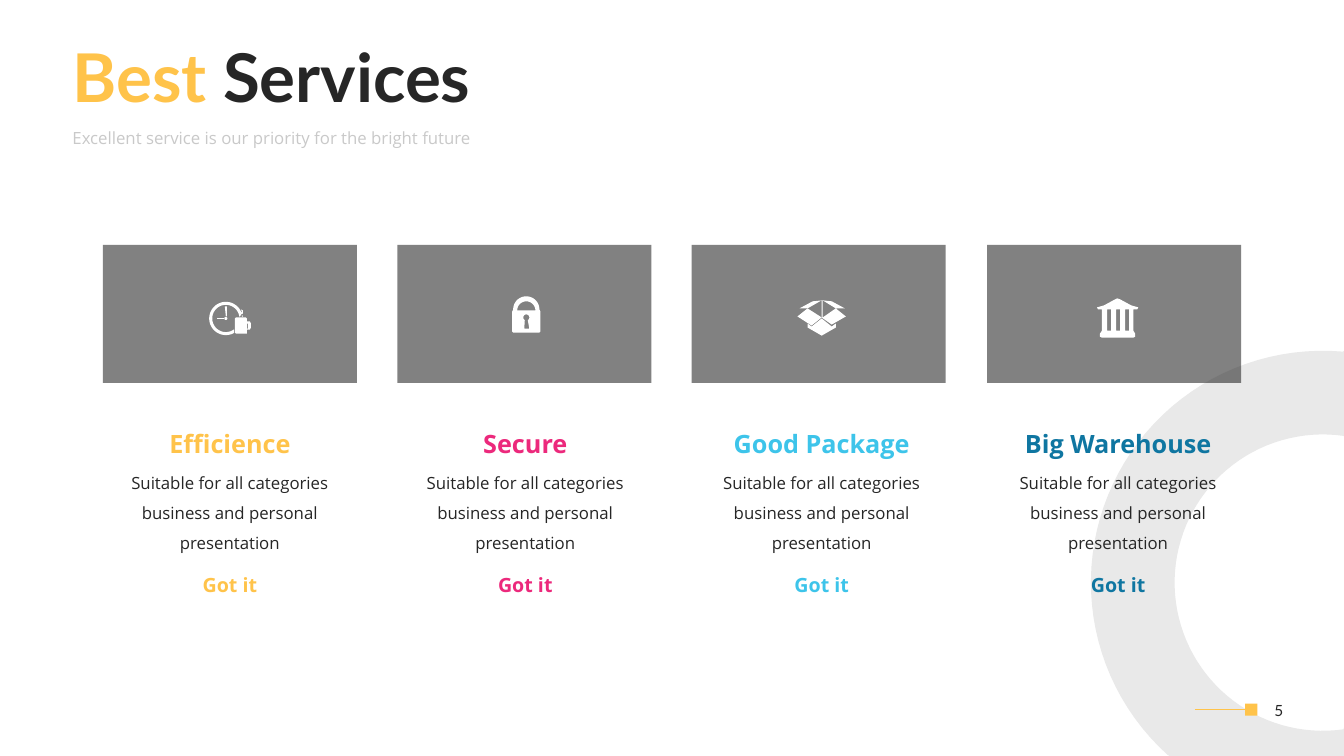
"""Build the "Best Services" slide: four service cards over a clipped ring."""
from dataclasses import dataclass
from math import cos, radians, sin

from lxml import etree
from pptx import Presentation
from pptx.dml.color import RGBColor
from pptx.enum.shapes import MSO_CONNECTOR, MSO_SHAPE
from pptx.enum.text import MSO_ANCHOR, MSO_AUTO_SIZE, PP_ALIGN
from pptx.oxml.ns import qn
from pptx.shapes.base import BaseShape
from pptx.slide import Slide
from pptx.util import Pt

PX = 9144
LINE, RECT = MSO_CONNECTOR.STRAIGHT, MSO_SHAPE.RECTANGLE
TOP, MIDDLE = MSO_ANCHOR.TOP, MSO_ANCHOR.MIDDLE
LEFT, CENTER = PP_ALIGN.LEFT, PP_ALIGN.CENTER
GROW = MSO_AUTO_SIZE.SHAPE_TO_FIT_TEXT

YELLOW = RGBColor(0xFF, 0xC3, 0x4A)
PINK = RGBColor(0xEC, 0x29, 0x7C)
CYAN = RGBColor(0x3D, 0xC4, 0xEA)
BLUE = RGBColor(0x0F, 0x76, 0xA1)
DARK = RGBColor(0x26, 0x26, 0x26)
SILVER = RGBColor(0xC9, 0xC9, 0xC9)
PALE = RGBColor(0xE9, 0xE9, 0xE9)
WHITE = RGBColor(0xFF, 0xFF, 0xFF)

Contour = list[tuple[float, float]]
Outline = list[Contour]


@dataclass(frozen=True)
class Style:
    """Typeface, size and paragraph settings of a text."""
    size: int
    font: str = "Open Sans"
    bold: bool = False
    align: PP_ALIGN = CENTER
    anchor: MSO_ANCHOR = TOP
    spacing: float = 1.0
    before: int = 0
    grow: bool = True


TITLE = Style(48, "Lato", True, LEFT, MIDDLE, 0.9, 10, False)
SUBTITLE = Style(12, align=LEFT, spacing=0.9, before=10, grow=False)
NUMBER = Style(11, "Lato", anchor=MIDDLE, grow=False)
HEADING = Style(18, bold=True)
BODY = Style(12, spacing=1.5)
ACTION = Style(14, bold=True)


@dataclass(frozen=True)
class Service:
    """One column: heading, accent colour, heading width and icon outlines."""
    name: str
    color: RGBColor
    width: int
    icon: list[Outline]


def arc(cx: int, cy: int, radius: float, start: int, end: int) -> Contour:
    """Return points along a circle, angles running clockwise from the right."""
    steps = max(12, abs(end - start) // 3)
    angles = [radians(start + (end - start) * i / steps) for i in range(steps + 1)]
    return [(cx + radius * cos(a), cy + radius * sin(a)) for a in angles]


def box(x: int, y: int, w: int, h: int) -> Contour:
    """Return the corners of a rectangle."""
    return [(x, y), (x + w, y), (x + w, y + h), (x, y + h)]


RING = [arc(1312, 578, 230, 132, 275) + [(1333, 348), (1333, 433)]
        + arc(1312, 578, 147, 278, 82) + [(1333, 722), (1333, 750), (1160, 750)]]

CLOCK = [
    [arc(224, 316, 1.5, 0, 360)],
    [box(215, 315, 7, 1)],
    [[(223, 304), (225, 304), (225, 314), (224, 314)]],
    [[(239, 307), (241, 308), (241, 311), (239, 312), (239, 314), (238, 312), (240, 309)]],
    [[(234, 315), (244, 315), (245, 316), (245, 319), (248, 319), (249, 321), (249, 325),
      (248, 327), (245, 327), (245, 331), (234, 331), (233, 330), (233, 316)],
     box(245, 321, 1, 5)],
    [[(240, 312), (241, 314), (240, 314)]],
    [arc(224, 316, 16.5, 60, 337) + arc(224, 316, 13.5, 355, 53)],
]

LOCK = [[
    [(508, 329), (508, 309)] + arc(522, 307, 13, 180, 360)
    + [(536, 309), (536, 329), (535, 330), (509, 330)],
    arc(522, 308, 9, 180, 360),
    arc(522, 315, 3, 120, 420) + [(525, 326), (520, 326)],
]]

PACKAGE = [
    [[(815, 315), (825, 322), (839, 314), (829, 306), (816, 315), (816, 298), (829, 306),
      (838, 306), (825, 299), (816, 298), (806, 299), (793, 306), (801, 306), (815, 298)]],
    [[(791, 314), (805, 323), (815, 315), (801, 306)]],
    [[(815, 316), (805, 324), (801, 321), (801, 325), (815, 333), (829, 325),
      (829, 321), (825, 324)]],
]

WAREHOUSE = [[
    [(1088, 305), (1095, 303), (1106, 297), (1108, 296), (1111, 297), (1122, 303),
     (1129, 305), (1128, 307), (1124, 307), (1124, 328), (1126, 331), (1126, 334),
     (1124, 335), (1093, 335), (1091, 334), (1091, 331), (1093, 328), (1093, 307),
     (1089, 307)],
    *[box(x, 307, 4, 21) for x in range(1098, 1117, 9)],
]]

SERVICES = [
    Service("Efficience", YELLOW, 178, CLOCK),
    Service("Secure", PINK, 178, LOCK),
    Service("Good Package", CYAN, 238, PACKAGE),
    Service("Big Warehouse", BLUE, 238, WAREHOUSE),
]


def paint(sp: BaseShape, color: RGBColor) -> None:
    """Give a shape a plain fill without line or shadow."""
    sp.shadow.inherit = False
    sp.fill.solid()
    sp.fill.fore_color.rgb = color
    sp.line.fill.background()


def add_rect(s: Slide, x: int, y: int, w: int, h: int, color: RGBColor) -> BaseShape:
    """Add a plain rectangle."""
    sp = s.shapes.add_shape(RECT, x * PX, y * PX, w * PX, h * PX)
    paint(sp, color)
    return sp


def add_outline(s: Slide, outline: Outline, color: RGBColor) -> None:
    """Add a filled freeform; later contours cut holes."""
    points = [[(x * PX, y * PX) for x, y in contour] for contour in outline]
    builder = s.shapes.build_freeform(*points[0][0])
    builder.add_line_segments(points[0][1:])
    for contour in points[1:]:
        builder.move_to(*contour[0])
        builder.add_line_segments(contour[1:])
    paint(builder.convert_to_shape(), color)


def add_text(s: Slide, x: int, y: int, w: int, h: int, style: Style,
             *runs: tuple[str, RGBColor]) -> None:
    """Add a one-paragraph text box made of coloured runs."""
    tf = s.shapes.add_textbox(x * PX, y * PX, w * PX, h * PX).text_frame
    tf.word_wrap = True
    tf.vertical_anchor = style.anchor
    if style.grow:
        tf.auto_size = GROW
    p = tf.paragraphs[0]
    p.alignment = style.align
    p.line_spacing = style.spacing
    p.space_before = Pt(style.before)
    for text, color in runs:
        r = p.add_run()
        r.text = text
        r.font.name, r.font.size, r.font.bold = style.font, Pt(style.size), style.bold
        r.font.color.rgb = color


def add_service(s: Slide, i: int, service: Service) -> None:
    """Add the card, icon and texts of one column."""
    card = add_rect(s, 102 + 877 * i // 3, 243, 252, 137, DARK)
    color = card.element.spPr.find(".//" + qn("a:srgbClr"))
    etree.SubElement(color, qn("a:alpha")).set("val", "58000")
    for outline in service.icon:
        add_outline(s, outline, WHITE)
    center = 228 + 881 * i // 3
    left = center - service.width // 2
    add_text(s, center - 119, 454, 238, 98, BODY,
             ("Suitable for all categories business and personal presentation", DARK))
    add_text(s, left, 420, service.width, 40, HEADING, (service.name, service.color))
    add_text(s, left, 563, service.width, 34, ACTION, ("Got it", service.color))


def main() -> None:
    """Build and save the slide."""
    prs = Presentation()
    prs.slide_width, prs.slide_height = 1333 * PX, 750 * PX
    s = prs.slides.add_slide(prs.slide_layouts[6])
    add_outline(s, RING, PALE)
    add_text(s, 62, 35, 801, 91, TITLE, ("Best", YELLOW), (" Services", DARK))
    add_text(s, 62, 124, 482, 24, SUBTITLE,
             ("Excellent service is our priority for the bright future", SILVER))
    for i, service in enumerate(SERVICES):
        add_service(s, i, service)
    line = s.shapes.add_connector(LINE, 1185 * PX, 704 * PX, 1235 * PX, 704 * PX)
    line.line.color.rgb = YELLOW
    line.line.width = Pt(0.5)
    etree.SubElement(line.element.spPr, qn("a:effectLst"))
    add_rect(s, 1235, 698, 12, 12, YELLOW)
    add_text(s, 1238, 684, 61, 41, NUMBER, ("5", DARK))
    prs.save("out.pptx")


if __name__ == "__main__":
    main()
